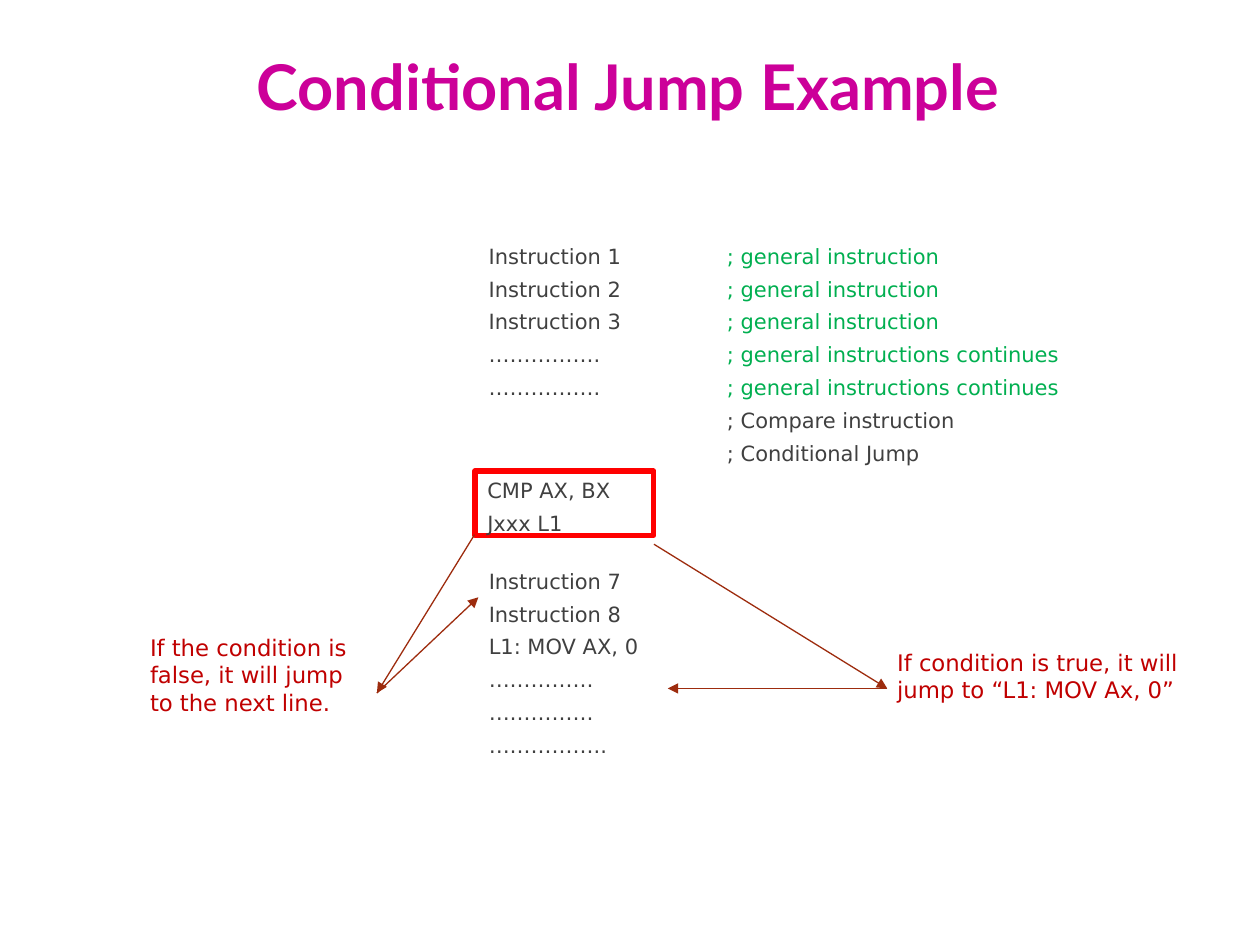
"""Build the Conditional Jump Example slide."""
import pptx
import pptx.dml.color
import pptx.enum.shapes
import pptx.enum.text
import pptx.oxml.ns
import pptx.util
from lxml import etree

Pt = pptx.util.Pt
GREY, GREEN, RED, BROWN = "404040", "00AF50", "C00000", "9D2C0E"
LEFT = pptx.enum.text.PP_ALIGN.LEFT
TOP = pptx.enum.text.MSO_ANCHOR.TOP


def rgb(value):
    return pptx.dml.color.RGBColor.from_string(value)


def write(frame, lines, size=12, font="DejaVu Sans", color=GREY, bold=False,
          align=LEFT, anchor=TOP, left=0.7, top=5, gap=4.4):
    frame.word_wrap = True
    frame.auto_size = pptx.enum.text.MSO_AUTO_SIZE.NONE
    frame.vertical_anchor = anchor
    frame.margin_left, frame.margin_top = Pt(left), Pt(top)
    frame.margin_right = frame.margin_bottom = 0
    for index, line in enumerate(lines):
        paragraph = frame.add_paragraph() if index else frame.paragraphs[0]
        paragraph.alignment = align
        paragraph.space_before = Pt(gap if index else 0)
        run = paragraph.add_run()
        run.text = line
        run.font.size, run.font.name, run.font.bold = Pt(size), font, bold
        run.font.color.rgb = rgb(color)


deck = pptx.Presentation()
deck.slide_width, deck.slide_height = Pt(720), Pt(540)
slide = deck.slides.add_slide(deck.slide_layouts[5])
shapes = slide.shapes

title = shapes.title
title.left, title.top, title.width, title.height = Pt(62.6), Pt(26), Pt(592.6), Pt(44.6)
write(title.text_frame, ["Conditional Jump Example"], size=36, font="Lato",
      color="CC0099", bold=True, align=pptx.enum.text.PP_ALIGN.CENTER,
      anchor=pptx.enum.text.MSO_ANCHOR.MIDDLE, left=0, top=0.7)

code = {}
note = {"size": 13, "color": RED, "top": 0.7, "gap": 0}
blocks = [
    ((278.6, 134, 83, 95),
     ["Instruction 1", "Instruction 2", "Instruction 3", "…………….", "……………."], code),
    ((414.7, 134, 212.4, 132.5),
     ["; general instruction"] * 3 + ["; general instructions continues"] * 2, {"color": GREEN}),
    ((278.6, 319.7, 97.2, 113.8),
     ["Instruction 7", "Instruction 8", "L1: MOV AX, 0", "……………", "……………", "…………….."], code),
    ((512, 370, 175, 31.7),
     ["If condition is true, it will", "jump to “L1: MOV Ax, 0”"], note),
    ((85, 361.4, 123.8, 47.5),
     ["If the condition is false, it will jump to the next line."], note),
]
for box, lines, style in blocks:
    block = shapes.add_textbox(*map(Pt, box))
    write(block.text_frame, lines, **style)
    if style.get("color") == GREEN:
        for line in ["; Compare instruction", "; Conditional Jump"]:
            paragraph = block.text_frame.add_paragraph()
            paragraph.space_before = Pt(4.4)
            paragraph.font.size, paragraph.font.name = Pt(12), "DejaVu Sans"
            paragraph.font.color.rgb = rgb(GREY)
            paragraph.add_run().text = line

compare = shapes.add_shape(pptx.enum.shapes.MSO_SHAPE.RECTANGLE,
                           Pt(271.4), Pt(269.2), Pt(102.2), Pt(36.8))
compare.shadow.inherit = False
compare.fill.background()
compare.line.color.rgb = rgb("FF0000")
compare.line.width = Pt(3)
write(compare.text_frame, ["CMP AX, BX", "Jxxx L1"], left=7.2, top=3.6)

jumps = [
    (373.7, 311, 507, 393.4),
    (507, 393.4, 381.6, 393.4),
    (271.2, 305.5, 215.4, 396),
    (215.4, 396, 273.4, 341.3),
]
for ends in jumps:
    jump = shapes.add_connector(pptx.enum.shapes.MSO_CONNECTOR.STRAIGHT, *map(Pt, ends))
    jump.line.color.rgb = rgb(BROWN)
    jump.line.width = Pt(0.75)
    etree.SubElement(jump.line._get_or_add_ln(), pptx.oxml.ns.qn("a:tailEnd"), type="triangle")
    etree.SubElement(jump._element.spPr, pptx.oxml.ns.qn("a:effectLst"))

deck.save("out.pptx")
